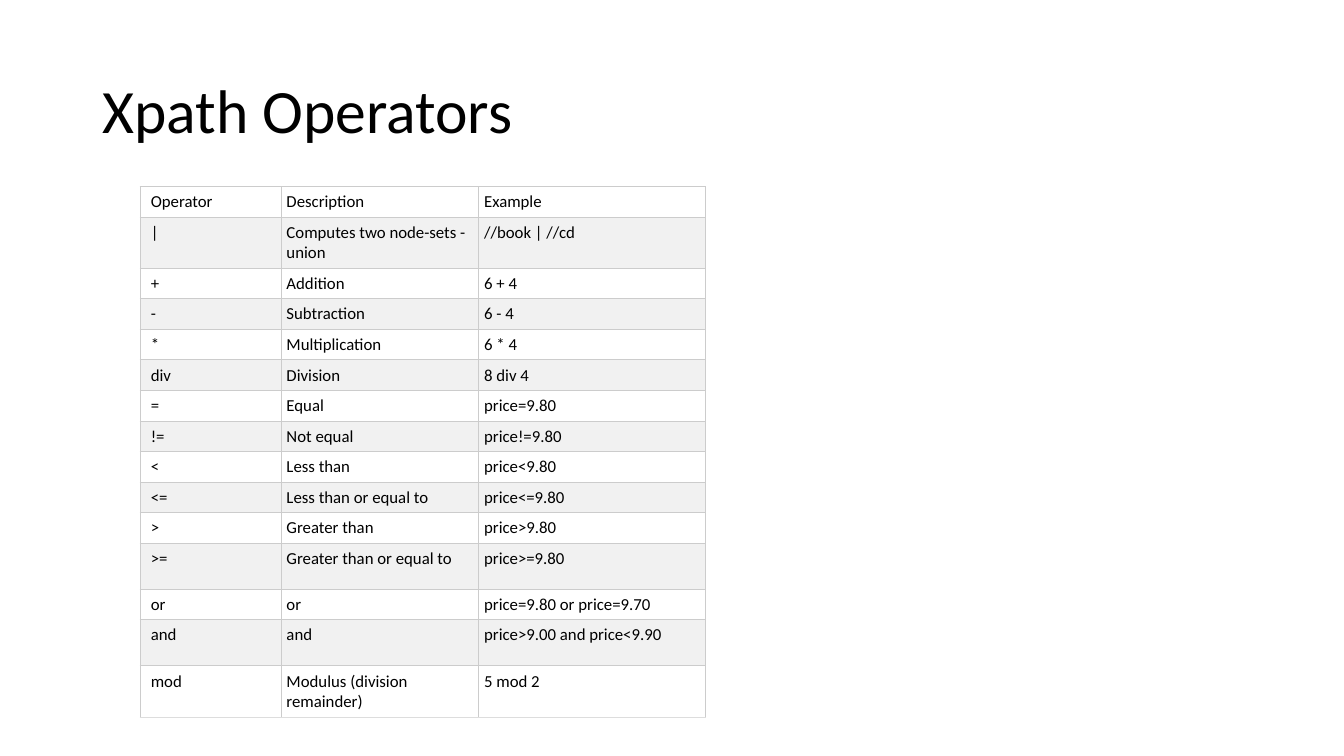
"""Build the slide that lists the XPath operators in a table."""
from dataclasses import dataclass

from lxml import etree
from pptx import Presentation
from pptx.dml.color import RGBColor
from pptx.enum.text import MSO_ANCHOR
from pptx.oxml.ns import qn
from pptx.util import Cm, Pt

MIDDLE = MSO_ANCHOR.MIDDLE
TOP = MSO_ANCHOR.TOP

FONT = "Calibri"
BLACK = "000000"
BAND_FILLS = ("FFFFFF", "F1F1F1")
GRID = "CCCCCC"
TABLE_END = "DDDDDD"
BORDER_WIDTH = Pt(0.75)

ROW_HEIGHT = 0.77
SPACED_ROW = 1.16
TWO_LINE_ROW = 1.29
COLUMN_WIDTHS = (3.56, 4.98, 5.72)
CELL_MARGIN = 0.13
FIRST_MARGIN = 0.27


@dataclass
class Operator:
    symbol: str
    description: str
    example: str
    height: float = ROW_HEIGHT


ROWS = [
    Operator("Operator", "Description", "Example"),
    Operator("|", "Computes two node-sets - union", "//book | //cd", TWO_LINE_ROW),
    Operator("+", "Addition", "6 + 4"),
    Operator("-", "Subtraction", "6 - 4"),
    Operator("*", "Multiplication", "6 * 4"),
    Operator("div", "Division", "8 div 4"),
    Operator("=", "Equal", "price=9.80"),
    Operator("!=", "Not equal", "price!=9.80"),
    Operator("<", "Less than", "price<9.80"),
    Operator("<=", "Less than or equal to", "price<=9.80"),
    Operator(">", "Greater than", "price>9.80"),
    Operator(">=", "Greater than or equal to", "price>=9.80", SPACED_ROW),
    Operator("or", "or", "price=9.80 or price=9.70"),
    Operator("and", "and", "price>9.00 and price<9.90", SPACED_ROW),
    Operator("mod", "Modulus (division remainder)", "5 mod 2", TWO_LINE_ROW),
]


def rgb(value: str) -> RGBColor:
    return RGBColor.from_string(value)


def set_attrs(target, values: dict) -> None:
    for name, value in values.items():
        setattr(target, name, value)


def write(tf, text: str, size: float):
    p = tf.paragraphs[0]
    r = p.add_run()
    r.text = text
    set_attrs(r.font, {"name": FONT, "size": Pt(size), "bold": False})
    r.font.color.rgb = rgb(BLACK)
    return p


def add_borders(cell, bottom: str) -> None:
    tc_pr = cell._tc.get_or_add_tcPr()
    for side, color in (("L", GRID), ("R", GRID), ("T", GRID), ("B", bottom)):
        ln = etree.SubElement(tc_pr, qn(f"a:ln{side}"), w=str(BORDER_WIDTH))
        fill = etree.SubElement(ln, qn("a:solidFill"))
        etree.SubElement(fill, qn("a:srgbClr"), val=color)


def format_cell(cell, text: str, margin: float, fill: str, bottom: str) -> None:
    set_attrs(cell, {
        "margin_left": Cm(margin),
        "margin_top": Cm(CELL_MARGIN),
        "margin_right": Cm(CELL_MARGIN),
        "margin_bottom": Cm(CELL_MARGIN),
        "vertical_anchor": TOP,
    })
    write(cell.text_frame, text, 12)
    add_borders(cell, bottom)
    cell.fill.solid()
    cell.fill.fore_color.rgb = rgb(fill)


def add_title(s, text: str) -> None:
    sp = s.shapes.add_textbox(Cm(2.33), Cm(1.01), Cm(29.21), Cm(3.68))
    tf = sp.text_frame
    set_attrs(tf, {"word_wrap": True, "vertical_anchor": MIDDLE})
    p = write(tf, text, 44)
    p.line_spacing = 0.9


def add_operator_table(s, rows: list[Operator]) -> None:
    width, height = sum(COLUMN_WIDTHS), sum(row.height for row in rows)
    table = s.shapes.add_table(len(rows), len(COLUMN_WIDTHS), Cm(3.53), Cm(4.7),
                               Cm(width), Cm(height)).table
    set_attrs(table, {"first_row": False, "horz_banding": False})
    for column, column_width in zip(table.columns, COLUMN_WIDTHS):
        column.width = Cm(column_width)
    for i, row in enumerate(rows):
        table.rows[i].height = Cm(row.height)
        fill = BAND_FILLS[i % 2]
        bottom = TABLE_END if i == len(rows) - 1 else GRID
        for j, text in enumerate((row.symbol, row.description, row.example)):
            margin = CELL_MARGIN if j else FIRST_MARGIN
            format_cell(table.cell(i, j), text, margin, fill, bottom)


def main() -> None:
    prs = Presentation()
    set_attrs(prs, {"slide_width": Cm(33.87), "slide_height": Cm(19.05)})
    s = prs.slides.add_slide(prs.slide_layouts[6])
    add_title(s, "Xpath Operators")
    add_operator_table(s, ROWS)
    prs.save("out.pptx")


if __name__ == "__main__":
    main()
